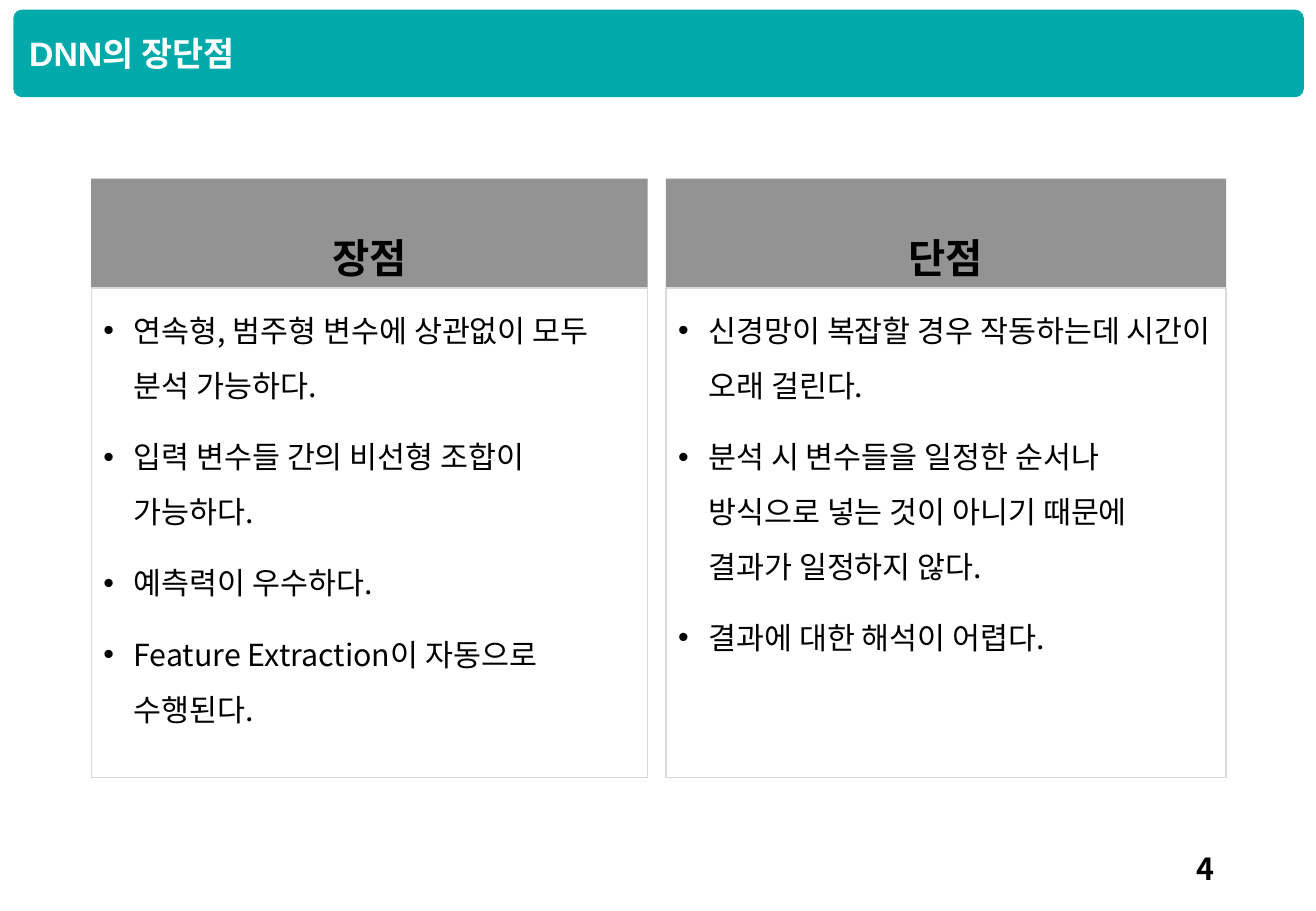
import pptx
import pptx.util
import pptx.dml.color
import pptx.enum.shapes
import pptx.enum.text
import pptx.oxml
import pptx.oxml.ns

Inches, Pt = pptx.util.Inches, pptx.util.Pt
RGBColor = pptx.dml.color.RGBColor
ALIGN = pptx.enum.text.PP_ALIGN
ANCHOR = pptx.enum.text.MSO_ANCHOR

TEAL = RGBColor(0x00, 0xAA, 0xAA)
GREY = RGBColor(0x93, 0x93, 0x93)
BORDER = RGBColor(0xD9, 0xD9, 0xD9)
BLACK = RGBColor(0, 0, 0)
WHITE = RGBColor(0xFF, 0xFF, 0xFF)
KOREAN = "Noto Sans CJK KR"

WIDTH, HEIGHT = 10.83, 7.5
TOP, HEAD_HEIGHT, LIST_HEIGHT = 1.47, 0.9, 4.03
COLUMNS = [
    (0.75, 4.58, 1, "장점", [
        "연속형, 범주형 변수에 상관없이 모두 분석 가능하다.",
        "입력 변수들 간의 비선형 조합이 가능하다.",
        "예측력이 우수하다.",
        "Feature Extraction이 자동으로 수행된다.",
    ]),
    (5.48, 4.61, 3, "단점", [
        "신경망이 복잡할 경우 작동하는데 시간이 오래 걸린다.",
        "분석 시 변수들을 일정한 순서나 방식으로 넣는 것이 아니기 때문에 결과가 일정하지 않다.",
        "결과에 대한 해석이 어렵다.",
    ]),
]


def place(sp, x, y, w, h, anchor=ANCHOR.TOP):
    """Move a shape to its box and return its wrapped text frame."""
    sp.left, sp.top, sp.width, sp.height = map(Inches, (x, y, w, h))
    tf = sp.text_frame
    tf.word_wrap = True
    tf.auto_size = pptx.enum.text.MSO_AUTO_SIZE.NONE
    tf.vertical_anchor = anchor
    return tf


def add_text(p, text, size, color=BLACK, bold=False, font=KOREAN, align=ALIGN.LEFT):
    """Add one formatted run to a paragraph."""
    p.alignment = align
    r = p.add_run()
    r.text = text
    r.font.size, r.font.bold, r.font.name = Pt(size), bold, font
    r.font.color.rgb = color
    ea = pptx.oxml.parse_xml(
        f'<a:ea {pptx.oxml.ns.nsdecls("a")} typeface="{KOREAN}"/>')
    r.font._element.find(pptx.oxml.ns.qn("a:latin")).addnext(ea)


def add_bullet(p):
    """Give a paragraph a round bullet with a hanging indent."""
    pPr = p._p.get_or_add_pPr()
    pPr.set("marL", str(Inches(0.25)))
    pPr.set("indent", str(Inches(-0.25)))
    for tag in ('buFont typeface="Arial"', 'buChar char="•"'):
        pPr.append(pptx.oxml.parse_xml(f'<a:{tag} {pptx.oxml.ns.nsdecls("a")}/>'))


def add_banner(s, x, y, w, h):
    """Draw the rounded banner behind the slide title."""
    sp = s.shapes.add_shape(pptx.enum.shapes.MSO_SHAPE.ROUNDED_RECTANGLE,
                            Inches(x), Inches(y), Inches(w), Inches(h))
    sp.adjustments[0] = 0.097
    sp.shadow.inherit = False
    sp.fill.solid()
    sp.fill.fore_color.rgb = TEAL
    sp.line.fill.background()
    title = s.shapes.title
    title.element.addprevious(sp.element)
    tf = place(title, x + 0.03, y + 0.14, w * 0.56, 0.77)
    add_text(tf.paragraphs[0], "DNN의 장단점", 20, WHITE, True, "Arial")


def add_column(s, x, y, w, idx, heading, items):
    """Fill one heading and the bordered list below it."""
    holders = {sp.placeholder_format.idx: sp for sp in s.placeholders}
    head, body = holders[idx], holders[idx + 1]
    head.fill.solid()
    head.fill.fore_color.rgb = GREY
    p = place(head, x, y, w, HEAD_HEIGHT, ANCHOR.BOTTOM).paragraphs[0]
    p.line_spacing, p.space_before = 0.9, Pt(10)
    add_text(p, heading, 24, bold=True, align=ALIGN.CENTER)

    body.line.color.rgb = BORDER
    body.line.width = Pt(0.75)
    tf = place(body, x, y + HEAD_HEIGHT, w, LIST_HEIGHT)
    for i, item in enumerate(items):
        p = tf.add_paragraph() if i else tf.paragraphs[0]
        p.line_spacing, p.space_before = 1.5, Pt(10)
        add_bullet(p)
        add_text(p, item, 18)


def add_page_number(s, x, y, w, h):
    """Write the page number at the right of its box."""
    sp = s.shapes.add_textbox(0, 0, 0, 0)
    tf = place(sp, x, y, w, h, ANCHOR.MIDDLE)
    add_text(tf.paragraphs[0], "4", 18, bold=True, align=ALIGN.RIGHT)


def main():
    """Build and save the slide."""
    prs = pptx.Presentation()
    prs.slide_width, prs.slide_height = Inches(WIDTH), Inches(HEIGHT)
    s = prs.slides.add_slide(prs.slide_layouts.get_by_name("Comparison"))
    add_banner(s, 0.11, 0.08, WIDTH - 0.21, 0.72)
    for x, w, idx, heading, items in COLUMNS:
        add_column(s, x, TOP, w, idx, heading, items)
    add_page_number(s, 7.65, 6.95, 2.44, 0.4)
    prs.save("out.pptx")


if __name__ == "__main__":
    main()
